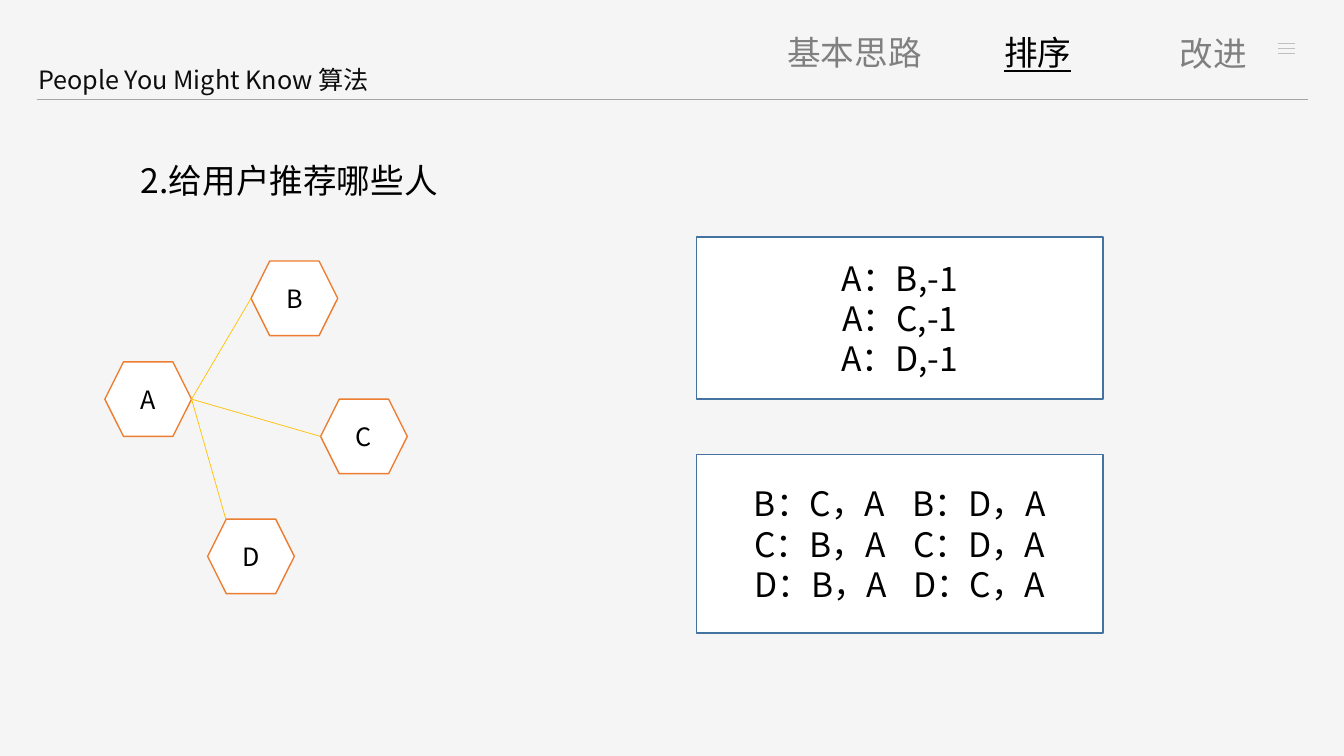
from dataclasses import dataclass
from lxml.etree import SubElement
from pptx import Presentation
from pptx.dml.color import RGBColor
from pptx.enum.shapes import MSO_CONNECTOR, MSO_SHAPE
from pptx.enum.text import MSO_ANCHOR, MSO_AUTO_SIZE, PP_ALIGN
from pptx.oxml.ns import qn
from pptx.util import Pt

PX = 9144  # 100 px to the inch


@dataclass(frozen=True)
class Theme:
    font: str = "Noto Sans CJK SC"
    back: str = "F5F5F5"
    white: str = "FFFFFF"
    ink: str = "000000"
    title: str = "0D0D0D"
    muted: str = "808080"
    rule: str = "A6A6A6"
    menu: str = "BFBFBF"
    node: str = "ED7D31"
    edge: str = "FFC000"
    frame: str = "43739E"
    small: int = 18
    large: int = 24
    thin: float = 0.5
    bold: float = 1


THEME = Theme()


def color(code):
    return RGBColor.from_string(code)


def scale(*sizes):
    return [size * PX for size in sizes]


# Shared parts
def write(frame, lines, size, ink, align, under=None):
    frame.word_wrap = True
    for i, line in enumerate(lines):
        para = frame.paragraphs[0] if i == 0 else frame.add_paragraph()
        para.alignment = align
        run = para.add_run()
        run.text = line
        font = run.font
        font.size, font.name, font.underline = Pt(size), THEME.font, under
        font.color.rgb = color(ink)
        SubElement(run._r.get_or_add_rPr(), qn("a:ea"), typeface=THEME.font)


def label(slide, box, text, size, ink, align=PP_ALIGN.LEFT, under=None):
    frame = slide.shapes.add_textbox(*scale(*box)).text_frame
    write(frame, [text], size, ink, align, under)
    frame.auto_size = MSO_AUTO_SIZE.SHAPE_TO_FIT_TEXT


def link(slide, start, end, ink):
    line = slide.shapes.add_connector(MSO_CONNECTOR.STRAIGHT, *scale(*start, *end))
    line.line.color.rgb = color(ink)
    line.line.width = Pt(THEME.thin)
    SubElement(line._element.spPr, qn("a:effectLst"))


def block(slide, kind, box, lines, size, edge):
    shape = slide.shapes.add_shape(kind, *scale(*box))
    shape.shadow.inherit = False
    shape.fill.solid()
    shape.fill.fore_color.rgb = color(THEME.white)
    shape.line.color.rgb = color(edge)
    shape.line.width = Pt(THEME.bold)
    shape.text_frame.vertical_anchor = MSO_ANCHOR.MIDDLE
    write(shape.text_frame, lines, size, THEME.ink, PP_ALIGN.CENTER)


# Header: title, rule, menu mark and section names
def header(slide, box):
    x, y, w, h = box
    label(slide, (x - 9, y + 32, 494, 40), "People You Might Know 算法",
          THEME.small, THEME.title)
    link(slide, (x, y + h), (x + w, y + h), THEME.rule)
    right = x + w - 13
    for row in range(3):
        level = y + 16 + row * 5
        link(slide, (right - 16, level), (right, level), THEME.menu)
    tabs = [
        ("基本思路", 589, 0, 298, THEME.muted, PP_ALIGN.RIGHT, None),
        ("排序", 886, 0, 213, THEME.ink, PP_ALIGN.CENTER, True),
        ("改进", 1078, 1, 177, THEME.muted, PP_ALIGN.CENTER, None),
    ]
    for name, left, top, width, ink, align, under in tabs:
        label(slide, (x + left, y + top, width, 50), name,
              THEME.large, ink, align, under)


# Graph: user A linked to three friends
def graph(slide, box):
    x, y, w, h = box
    wide, high = 86, 74
    slant = high // 4
    nodes = {
        "A": (x, y + 100),
        "B": (x + 145, y),
        "C": (x + w - wide, y + 137),
        "D": (x + 102, y + h - high),
    }
    for name, (left, top) in nodes.items():
        block(slide, MSO_SHAPE.HEXAGON, (left, top, wide, high), [name],
              THEME.small, THEME.node)
    left, top = nodes["A"]
    hub = (left + wide, top + high // 2)
    for name, dx, dy in [("B", 0, high // 2), ("C", 0, high // 2), ("D", slant, 0)]:
        left, top = nodes[name]
        link(slide, hub, (left + dx, top + dy), THEME.edge)


# Pairs: direct friends above, candidates below
def pairs(slide, box):
    x, y, w, h = box
    direct = [f"A：{friend},-1" for friend in "BCD"]
    shared = [f"{user}：{one}，A\t {two}"[:0] + f"{user}：{one}，A\t {user}：{two}，A"
              for user, one, two in ("BCD", "CBD", "DBC")]
    for top, high, lines in [(y, 161, direct), (y + h - 177, 177, shared)]:
        block(slide, MSO_SHAPE.RECTANGLE, (x, top, w, high), lines,
              THEME.large, THEME.frame)


def main():
    deck = Presentation()
    deck.slide_width, deck.slide_height = scale(1333, 750)
    slide = deck.slides.add_slide(deck.slide_layouts[6])
    slide.background.fill.solid()
    slide.background.fill.fore_color.rgb = color(THEME.back)
    header(slide, (37, 27, 1260, 72))
    label(slide, (130, 154, 927, 50), "2.给用户推荐哪些人", THEME.large, THEME.ink)
    graph(slide, (104, 259, 300, 330))
    pairs(slide, (691, 235, 403, 393))
    deck.save("out.pptx")


if __name__ == "__main__":
    main()
